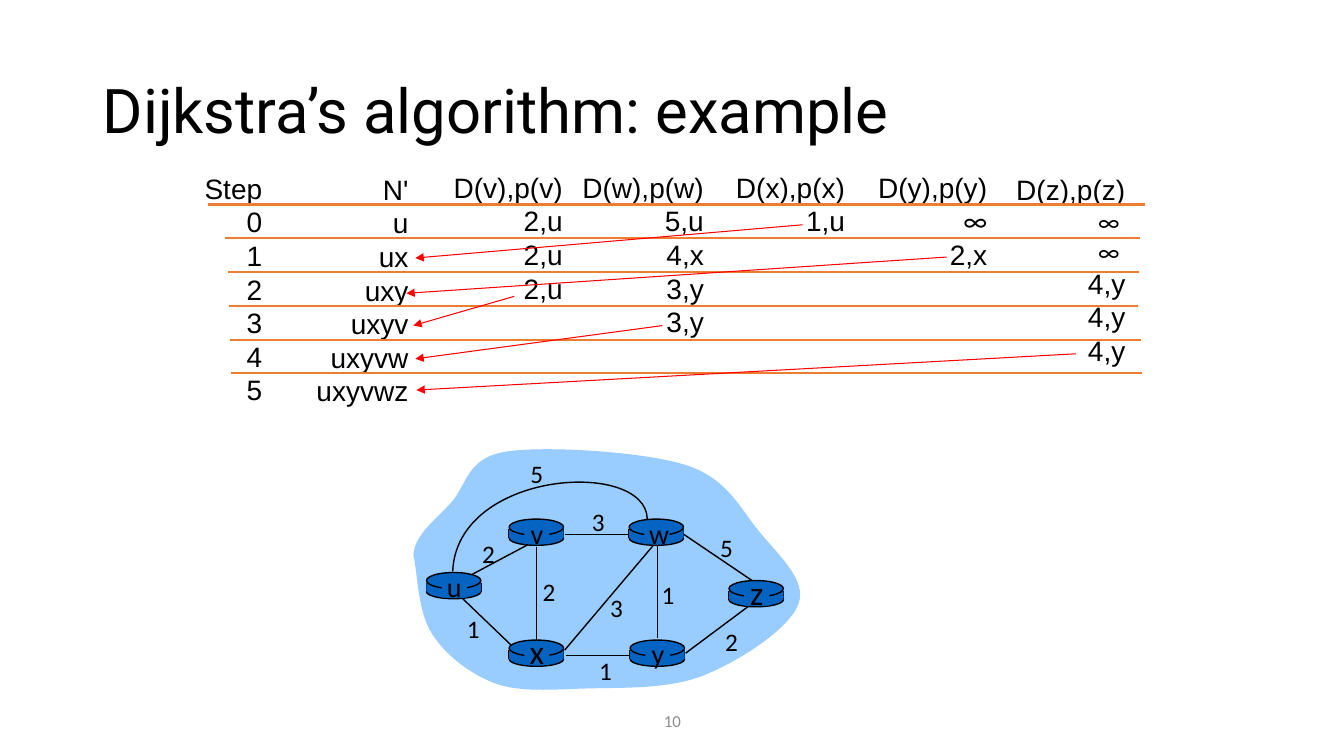
"""Build the slide that walks through Dijkstra's algorithm on a six-node graph."""
from dataclasses import dataclass

from lxml import etree
from pptx import Presentation
from pptx.dml.color import RGBColor
from pptx.enum.shapes import MSO_CONNECTOR, MSO_SHAPE
from pptx.enum.text import MSO_ANCHOR, MSO_AUTO_SIZE, PP_ALIGN
from pptx.oxml.ns import qn
from pptx.shapes.autoshape import Shape
from pptx.slide import Slide
from pptx.util import Inches, Pt

STRAIGHT = MSO_CONNECTOR.STRAIGHT
OVAL, RECTANGLE = MSO_SHAPE.OVAL, MSO_SHAPE.RECTANGLE
LEFT, CENTER, RIGHT = PP_ALIGN.LEFT, PP_ALIGN.CENTER, PP_ALIGN.RIGHT
TOP, MIDDLE = MSO_ANCHOR.TOP, MSO_ANCHOR.MIDDLE
FIT_TEXT, FIXED = MSO_AUTO_SIZE.SHAPE_TO_FIT_TEXT, MSO_AUTO_SIZE.NONE

BLACK, ORANGE, RED = "000000", "ED7D31", "FF0000"
ROUTER_BLUE, CLOUD_BLUE, GRAY = "0563C1", "99CCFF", "8C8C8C"
ROUTER_WIDTH = 0.54
FIRST_RULE_TOP, ROW_HEIGHT = 2.03, 0.335

Point = tuple[float, float]
Box = tuple[float, float, float, float]


@dataclass(frozen=True)
class Column:
    box: Box
    entries: tuple[str, ...]
    infinity_size: float = 20


@dataclass(frozen=True)
class Router:
    name: str
    left: float
    top: float
    size: float = 20


@dataclass(frozen=True)
class Edge:
    start: Point
    end: Point
    weight: str
    label: Point


COLUMNS = (
    Column((1.93, 1.65, 0.77, 2.43), ("Step", "0", "1", "2", "3", "4", "5")),
    Column((3.04, 1.66, 1.11, 2.43), ("N'", "u", "ux", "uxy", "uxyv", "uxyvw", "uxyvwz")),
    Column((4.4, 1.64, 1.28, 1.43), ("D(v),p(v)", "2,u", "2,u", "2,u")),
    Column((5.64, 1.64, 1.44, 1.77), ("D(w),p(w)", "5,u", "4,x", "3,y", "3,y")),
    Column((7.2, 1.64, 1.28, 0.77), ("D(x),p(x)", "1,u")),
    Column((8.61, 1.64, 1.28, 1.1), ("D(y),p(y)", "∞", "2,x")),
    Column((9.98, 1.66, 1.28, 2.03), ("D(z),p(z)", "∞ ", "∞ ", "4,y", "4,y", "4,y"), 18),
)
RULE_SPANS = ((2.06, 11.36), (2.23, 11.31), (2.26, 11.3), (2.27, 11.29), (2.28, 11.32), (2.29, 11.33))
CHOICE_ARROWS = (
    ((7.96, 2.23), (4.12, 2.56)),
    ((9.39, 2.55), (4.03, 2.91)),
    ((5.1, 2.94), (4.1, 3.23)),
    ((6.57, 3.23), (4.12, 3.56)),
    ((10.67, 3.51), (4.13, 3.87)),
)
CLOUD = (
    (4.1, 5.51), (4.11, 5.3), (4.33, 5.15), (4.48, 4.98), (4.63, 4.81), (4.63, 4.54), (5.02, 4.48),
    (5.4, 4.42), (6.38, 4.48), (6.79, 4.61), (7.21, 4.74), (7.33, 5.03), (7.52, 5.26),
    (7.7, 5.49), (8.01, 5.75), (7.92, 5.99), (7.83, 6.24), (7.33, 6.56), (6.98, 6.7),
    (6.63, 6.84), (6.17, 6.82), (5.82, 6.83), (5.48, 6.84), (5.16, 6.87), (4.91, 6.78),
    (4.65, 6.68), (4.41, 6.49), (4.28, 6.28), (4.14, 6.06), (4.14, 5.66), (4.1, 5.51),
)
ARC_FROM_W_TO_U = ((6.42, 5.15), (6.41, 4.55), (4.53, 4.66), (4.49, 5.67))
ROUTERS = (
    Router("u", 4.23, 5.68),
    Router("x", 5.05, 6.35, 24),
    Router("v", 5.05, 5.15),
    Router("w", 6.24, 5.15),
    Router("y", 6.25, 6.35),
    Router("z", 7.23, 5.76, 24),
)
EDGES = (
    Edge((4.68, 5.7), (5.28, 5.38), "2", (4.68, 5.29)),
    Edge((5.32, 5.43), (5.32, 6.36), "2", (5.28, 5.67)),
    Edge((5.07, 6.4), (4.59, 5.94), "1", (4.53, 6.04)),
    Edge((5.6, 6.45), (6.48, 5.41), "3", (5.95, 5.83)),
    Edge((6.25, 6.5), (5.61, 6.5), "1", (5.84, 6.45)),
    Edge((6.52, 5.42), (6.52, 6.33), "1", (6.46, 5.7)),
    Edge((6.8, 6.48), (7.43, 6.01), "2", (7.09, 6.16)),
    Edge((7.46, 5.76), (6.78, 5.3), "5", (7.04, 5.23)),
    Edge((6.24, 5.3), (5.6, 5.3), "3", (5.77, 4.97)),
)


def color(value: str) -> RGBColor:
    return RGBColor.from_string(value)


def paint(shape: Shape, fill: str | None, line: str | None) -> None:
    shape.shadow.inherit = False
    if fill:
        shape.fill.solid()
        shape.fill.fore_color.rgb = color(fill)
    else:
        shape.fill.background()
    if line:
        shape.line.color.rgb = color(line)
        shape.line.width = Pt(1)
    else:
        shape.line.fill.background()


def add_shape(slide: Slide, kind: MSO_SHAPE, box: Box, line: str | None = None) -> None:
    paint(slide.shapes.add_shape(kind, *map(Inches, box)), ROUTER_BLUE, line)


def add_line(slide: Slide, start: Point, end: Point, stroke: str, width: float, arrow: bool = False) -> None:
    connector = slide.shapes.add_connector(STRAIGHT, *map(Inches, start + end))
    connector.line.color.rgb = color(stroke)
    connector.line.width = Pt(width)
    if arrow:
        etree.SubElement(connector.line._get_or_add_ln(), qn("a:tailEnd"), type="triangle")
    etree.SubElement(connector._element.spPr, qn("a:effectLst"))


def add_text(slide: Slide, box: Box, lines: tuple[str, ...], size: float, font: str = "Calibri",
             align: PP_ALIGN = CENTER, anchor: MSO_ANCHOR = TOP, ink: str = BLACK, wrap: bool = False) -> Shape:
    shape = slide.shapes.add_textbox(*map(Inches, box))
    frame = shape.text_frame
    frame.word_wrap = wrap
    frame.auto_size = FIXED if wrap else FIT_TEXT
    frame.vertical_anchor = anchor
    frame.text = "\n".join(lines)
    for paragraph in frame.paragraphs:
        paragraph.alignment = align
        paragraph.font.size = Pt(size)
        paragraph.font.name = font
        paragraph.font.color.rgb = color(ink)
    return shape


def add_column(slide: Slide, column: Column) -> None:
    shape = add_text(slide, column.box, column.entries, 20, "Arial", RIGHT)
    for paragraph in shape.text_frame.paragraphs:
        if "∞" in paragraph.text:
            paragraph.font.name = "Calibri"
            paragraph.font.size = Pt(column.infinity_size)


def add_curve(slide: Slide, controls: tuple[Point, ...], fill: str | None, line: str | None) -> None:
    points = [(Inches(x), Inches(y)) for x, y in controls]
    builder = slide.shapes.build_freeform(*points[0])
    builder.add_line_segments(points[1:], close=points[0] == points[-1])
    shape = builder.convert_to_shape()
    segments = list(shape._element.iter(qn("a:lnTo")))
    for first in range(0, len(segments), 3):
        curve = etree.Element(qn("a:cubicBezTo"))
        segments[first].addprevious(curve)
        for segment in segments[first:first + 3]:
            curve.append(segment[0])
            segment.getparent().remove(segment)
    paint(shape, fill, line)


def add_router(slide: Slide, router: Router) -> None:
    left, top = router.left, router.top
    add_shape(slide, OVAL, (left, top + 0.12, ROUTER_WIDTH, 0.14), BLACK)
    for side in (left, left + ROUTER_WIDTH):
        add_line(slide, (side, top + 0.1), (side, top + 0.19), BLACK, 1)
    add_shape(slide, RECTANGLE, (left, top + 0.1, ROUTER_WIDTH, 0.09))
    add_shape(slide, OVAL, (left, top, ROUTER_WIDTH, 0.16), BLACK)
    add_shape(slide, RECTANGLE, (left + 0.15, top + 0.02, 0.25, 0.23))
    rise, height = (0.08, 0.44) if router.size == 20 else (0.14, 0.51)
    add_text(slide, (left + 0.1, top - rise, 0.35, height), (router.name,), router.size)


def main() -> None:
    presentation = Presentation()
    presentation.slide_width, presentation.slide_height = Inches(13.33), Inches(7.5)
    slide = presentation.slides.add_slide(presentation.slide_layouts[6])
    add_text(slide, (4.42, 6.95, 4.5, 0.4), ("10",), 12, anchor=MIDDLE, ink=GRAY, wrap=True)
    title = add_text(slide, (0.92, 0.4, 11.5, 1.45), ("Dijkstra’s algorithm: example",), 44, "Roboto",
                     LEFT, MIDDLE, wrap=True)
    title.text_frame.paragraphs[0].line_spacing = 0.9
    for column in COLUMNS:
        add_column(slide, column)
    for row, (left, right) in enumerate(RULE_SPANS):
        top = FIRST_RULE_TOP + row * ROW_HEIGHT
        add_line(slide, (left, top), (right, top), ORANGE, 1.5 if row else 2.25)
    add_curve(slide, CLOUD, CLOUD_BLUE, None)
    for edge in EDGES:
        add_line(slide, edge.start, edge.end, BLACK, 1)
    add_curve(slide, ARC_FROM_W_TO_U, None, BLACK)
    for router in ROUTERS:
        add_router(slide, router)
    for weight, label in [(edge.weight, edge.label) for edge in EDGES] + [("5", (5.16, 4.5))]:
        add_text(slide, (*label, 0.33, 0.4), (weight,), 18)
    for start, end in CHOICE_ARROWS:
        add_line(slide, start, end, RED, 0.75, arrow=True)
    presentation.save("out.pptx")


if __name__ == "__main__":
    main()
